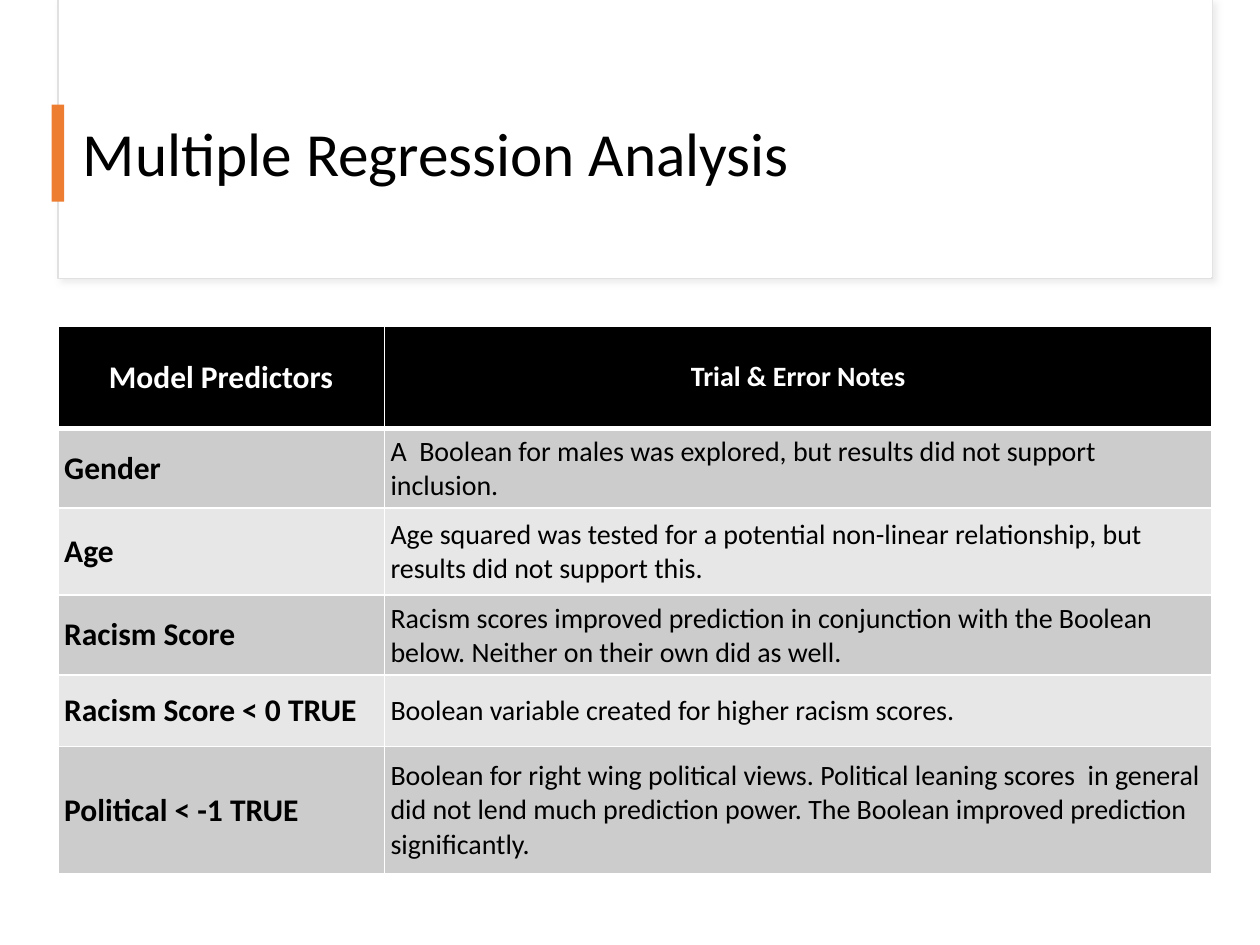
from dataclasses import dataclass

from lxml.etree import SubElement
from pptx import Presentation
from pptx.dml.color import RGBColor
from pptx.enum.shapes import MSO_SHAPE
from pptx.enum.text import MSO_ANCHOR, PP_ALIGN
from pptx.oxml.ns import qn
from pptx.util import Inches, Pt


@dataclass(frozen=True)
class Theme:
    """Colours, font and type sizes of the slide."""
    font: str = "Calibri"
    black: str = "000000"
    white: str = "FFFFFF"
    accent: str = "ED7D31"
    outline: str = "E1E1E1"
    shadow: str = "D9D9D9"
    bands: tuple = ("CCCCCC", "E7E7E7")
    title: int = 35
    label: int = 18
    note: int = 16


THEME = Theme()

PREDICTORS = [
    ("Model Predictors", "Trial & Error Notes"),
    ("Gender", "A  Boolean for males was explored, but results did not "
               "support inclusion."),
    ("Age", "Age squared was tested for a potential non-linear relationship, "
            "but results did not support this."),
    ("Racism Score", "Racism scores improved prediction in conjunction with "
                     "the Boolean below. Neither on their own did as well."),
    ("Racism Score < 0 TRUE",
     "Boolean variable created for higher racism scores."),
    ("Political < -1 TRUE",
     "Boolean for right wing political views. Political leaning scores  in "
     "general did not lend much prediction power. The Boolean improved "
     "prediction significantly."),
]
COLUMN_WIDTHS = (2.59, 6.57)
ROW_HEIGHTS = (0.81, 0.57, 0.69, 0.57, 0.57, 1.01)


def write_text(frame, text, *, size, color=THEME.black, bold=False,
               align=PP_ALIGN.LEFT, spacing=1.0):
    """Write one formatted paragraph into a text frame."""
    frame.word_wrap = True
    paragraph = frame.paragraphs[0]
    paragraph.alignment = align
    paragraph.line_spacing = spacing
    run = paragraph.add_run()
    run.text = text
    run.font.name = THEME.font
    run.font.size = Pt(size)
    run.font.bold = bold
    run.font.color.rgb = RGBColor.from_string(color)


def add_panel(slide, left, top, width, height, fill, outline=None):
    """Add a plain rectangle, outlined if a colour is given."""
    panel = slide.shapes.add_shape(MSO_SHAPE.RECTANGLE, Inches(left),
                                   Inches(top), Inches(width), Inches(height))
    panel.shadow.inherit = False
    panel.fill.solid()
    panel.fill.fore_color.rgb = RGBColor.from_string(fill)
    if outline:
        panel.line.color.rgb = RGBColor.from_string(outline)
        panel.line.width = Pt(0.75)
    else:
        panel.line.fill.background()
    return panel


def cast_shadow(panel):
    """Give a panel a soft shadow to the lower right."""
    effects = panel._element.spPr.find(qn("a:effectLst"))
    shadow = SubElement(effects, qn("a:outerShdw"), blurRad=str(Pt(4)),
                        dist=str(Pt(3)), dir=str(45 * 60000),
                        algn="tl", rotWithShape="0")
    color = SubElement(shadow, qn("a:srgbClr"), val=THEME.shadow)
    SubElement(color, qn("a:alpha"), val="50000")


def add_header(slide, left, top, width, height):
    """Place the title card with its accent bar."""
    cast_shadow(add_panel(slide, left, top, width, height, THEME.white,
                          THEME.outline))
    add_panel(slide, left + 0.01, top, width - 0.01, height - 0.01,
              THEME.white)
    title = slide.shapes.add_textbox(Inches(left + 0.1), Inches(top + 0.6),
                                     Inches(8.34), Inches(1.29)).text_frame
    title.vertical_anchor = MSO_ANCHOR.MIDDLE
    write_text(title, "Multiple Regression Analysis", size=THEME.title,
               spacing=0.9)
    add_panel(slide, left - 0.05, top + 0.83, 0.1, 0.77, THEME.accent)


def set_borders(cell, **widths):
    """Draw white cell borders; widths in points are keyed by L, R, T, B."""
    properties = cell._tc.get_or_add_tcPr()
    for side in "LRTB":
        line = SubElement(properties, qn(f"a:ln{side}"),
                          w=str(Pt(widths.get(side, 1))))
        fill = SubElement(line, qn("a:solidFill"))
        SubElement(fill, qn("a:srgbClr"), val=THEME.white)


def format_cell(cell, text, row, column):
    """Fill, border and write one cell according to its place."""
    is_header = row == 0
    is_label = column == 0
    set_borders(cell, T=3 if row == 1 else 1, B=3 if is_header else 1)
    cell.fill.solid()
    cell.fill.fore_color.rgb = RGBColor.from_string(
        THEME.black if is_header else THEME.bands[(row - 1) % 2])
    cell.vertical_anchor = MSO_ANCHOR.MIDDLE
    cell.margin_left = cell.margin_right = Inches(0.05)
    cell.margin_top = cell.margin_bottom = Inches(0.05)
    write_text(cell.text_frame, text,
               size=THEME.label if is_label else THEME.note,
               color=THEME.white if is_header else THEME.black,
               bold=is_header or is_label,
               align=PP_ALIGN.CENTER if is_header else PP_ALIGN.LEFT)


def add_predictor_table(slide, left, top, width, height):
    """Place the table of predictors and notes."""
    table = slide.shapes.add_table(
        len(PREDICTORS), len(COLUMN_WIDTHS), Inches(left), Inches(top),
        Inches(width), Inches(height)).table
    for column, column_width in zip(table.columns, COLUMN_WIDTHS):
        column.width = Inches(column_width)
    for row, row_height in zip(table.rows, ROW_HEIGHTS):
        row.height = Inches(row_height)
    for row, texts in enumerate(PREDICTORS):
        for column, text in enumerate(texts):
            format_cell(table.cell(row, column), text, row, column)


def main():
    """Build and save the slide."""
    deck = Presentation()
    deck.slide_width, deck.slide_height = Inches(10), Inches(7.5)
    slide = deck.slides.add_slide(deck.slide_layouts[6])
    add_header(slide, 0.46, 0, 9.16, 2.21)
    add_predictor_table(slide, 0.46, 2.59, sum(COLUMN_WIDTHS),
                        sum(ROW_HEIGHTS))
    deck.save("out.pptx")


main()
